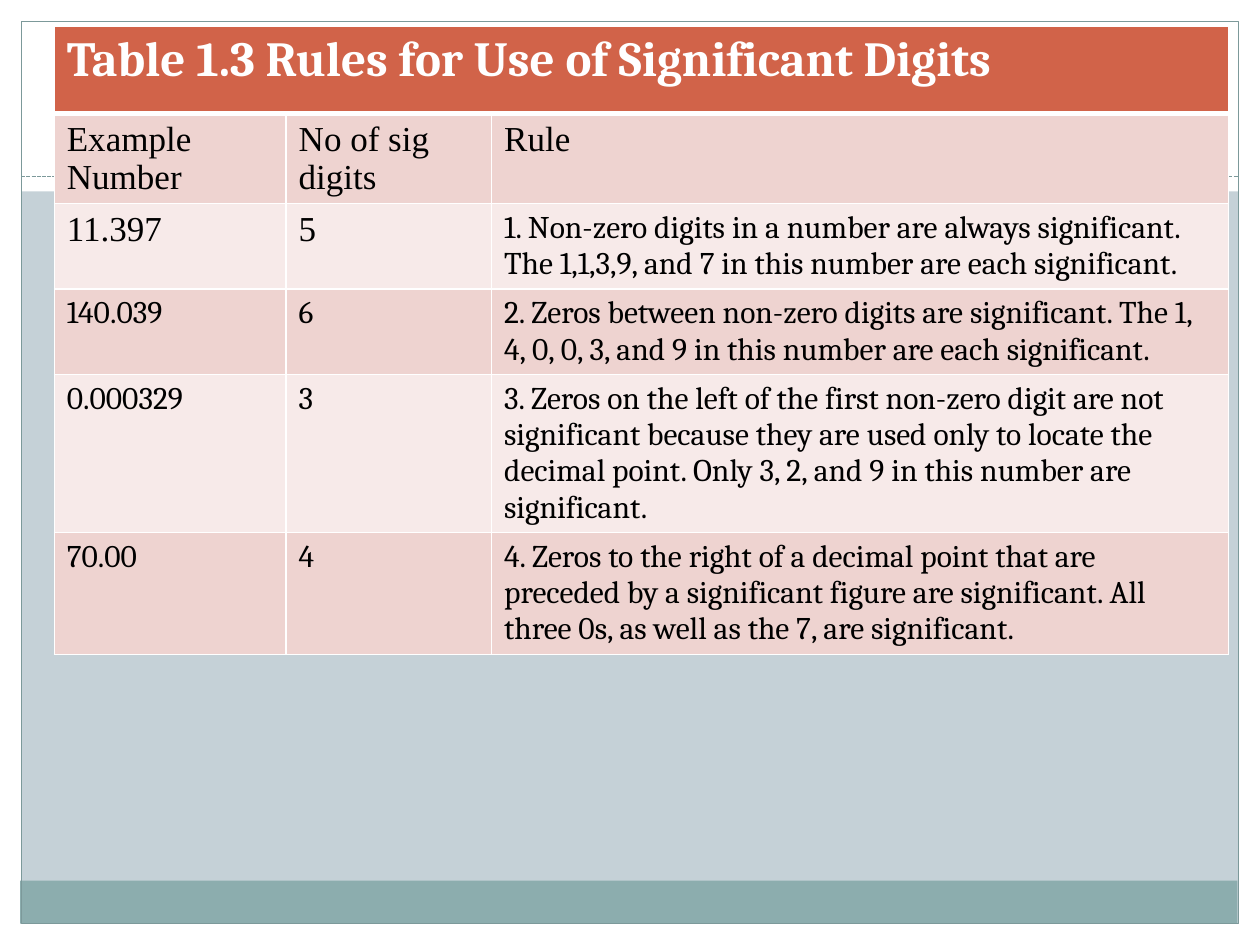
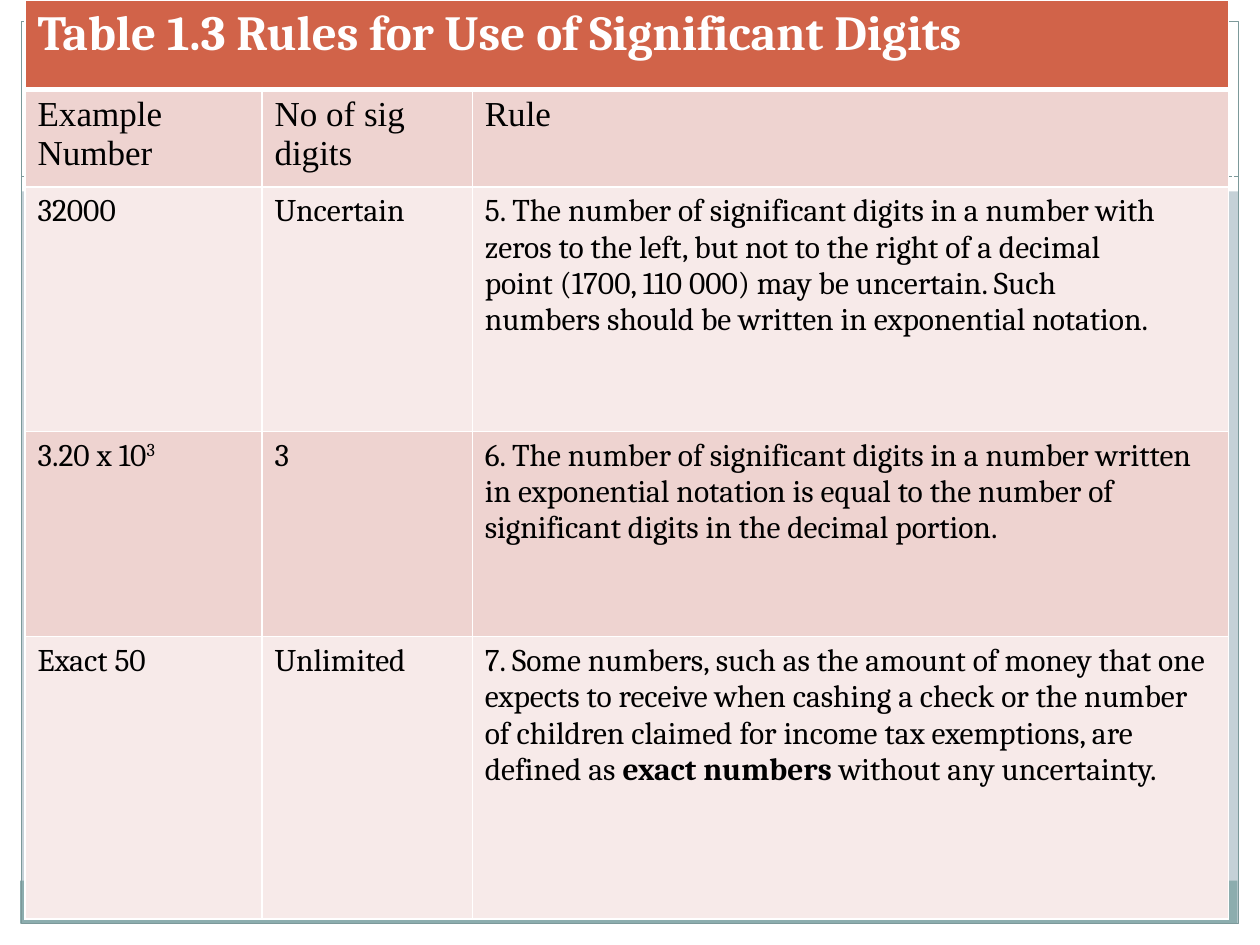
import pptx
import pptx.dml.color
import pptx.enum.dml
import pptx.enum.shapes
import pptx.enum.text
import pptx.util
from dataclasses import dataclass
from lxml import etree

Pt = pptx.util.Pt
Shapes = pptx.enum.shapes.MSO_SHAPE


@dataclass(frozen=True)
class Theme:
    page: str = "C5D1D7"
    white: str = "FFFFFF"
    black: str = "000000"
    footer: str = "8CADAE"
    outline: str = "7C999A"
    heading: str = "D16349"
    bands: tuple = ("EED3D0", "F7EAE9")
    serif: str = "Cambria"
    label: str = "Times New Roman"
    title_size: float = 33
    heading_size: float = 28
    label_size: float = 20
    body_size: float = 18
    border: float = 1
    heading_border: float = 3


THEME = Theme()
WIDTH, HEIGHT = 720, 540
EDGE = 12.2
TOP_BAND = 109.4
RULE_Y = 100.8
FOOTER_HEIGHT = 24.5

PAGE_TITLE = "."
HEADING = "Table 1.3 Rules for Use of Significant Digits"
COLUMN_LABELS = ("Example Number", "No of sig digits", "Rule")

# A cell is a string, or a list of paragraphs; a paragraph is a string,
# or a list of (text, format) runs.
TABLES = [
    {
        "at": (31, 15.1),
        "columns": (132.5, 117.4, 421.2),
        "rows": (49.7, 49.7, 43.2, 43.2, 43.2, 43.2),
        "large_cells": {(2, 0), (2, 1)},
        "rules": [
            ("11.397", "5",
             ["1. Non-zero digits in a number are always significant.",
              "The 1,1,3,9, and 7 in this number are each significant."]),
            ("140.039", "6",
             ["2. Zeros between non-zero digits are significant. The 1,",
              "4, 0, 0, 3, and 9 in this number are each significant."]),
            ("0.000329", "3",
             "3. Zeros on the left of the first non-zero digit are not "
             "significant because they are used only to locate the decimal "
             "point. Only 3, 2, and 9 in this number are significant."),
            ("70.00", "4",
             "4. Zeros to the right of a decimal point that are preceded by a "
             "significant figure are significant. All three 0s, as well as "
             "the 7, are significant."),
        ],
    },
    {
        "at": (14.3, 0),
        "columns": (135.4, 120.2, 432),
        "rows": (51, 56, 139.5, 117.4, 161.3),
        "large_cells": set(),
        "rules": [
            ("32000", "Uncertain",
             ["5. The number of significant digits in a number with",
              "zeros to the left, but not to the right of a decimal",
              "point (1700, 110 000) may be uncertain. Such",
              "numbers should be written in exponential notation."]),
            ([[("3.20 x 10", {}), ("3", {"baseline": 30})]], "3",
             "6. The number of significant digits in a number written in "
             "exponential notation is equal to the number of significant "
             "digits in the decimal portion."),
            ("Exact 50", "Unlimited",
             [[("7. Some numbers, such as the amount of money that one "
                "expects to receive when cashing a check or the number of "
                "children claimed for income tax exemptions, are defined as ",
                {}),
               ("exact numbers ", {"bold": True}),
               ("without any uncertainty.", {})]]),
        ],
    },
]


def rgb(value):
    return pptx.dml.color.RGBColor.from_string(value)


def format_span(span, font, size, color, bold=False, baseline=0):
    span.font.name = font
    span.font.size = Pt(size)
    span.font.color.rgb = rgb(color)
    span.font.bold = bold
    if baseline:
        span.font._element.set("baseline", str(baseline * 1000))


def write(frame, text, align=pptx.enum.text.PP_ALIGN.LEFT, **style):
    """Fill a text frame; each run may override the shared style."""
    paragraphs = [text] if isinstance(text, str) else text
    for index, runs in enumerate(paragraphs):
        para = frame.paragraphs[0] if index == 0 else frame.add_paragraph()
        para.alignment = align
        for words, changes in ([(runs, {})] if isinstance(runs, str) else runs):
            span = para.add_run()
            span.text = words
            format_span(span, **{**style, **changes})


def add_box(page, kind, left, top, width, height, fill=None, line=None, weight=0.75):
    box = page.shapes.add_shape(kind, Pt(left), Pt(top), Pt(width), Pt(height))
    box.shadow.inherit = False
    if fill:
        box.fill.solid()
        box.fill.fore_color.rgb = rgb(fill)
    else:
        box.fill.background()
    if line:
        box.line.color.rgb = rgb(line)
        box.line.width = Pt(weight)
    else:
        box.line.fill.background()
    return box


def add_dashed_rule(page):
    rule = page.shapes.add_connector(
        pptx.enum.shapes.MSO_CONNECTOR.STRAIGHT,
        Pt(EDGE), Pt(RULE_Y), Pt(WIDTH - EDGE), Pt(RULE_Y))
    rule.line.color.rgb = rgb(THEME.outline)
    rule.line.width = Pt(0.75)
    rule.line.dash_style = pptx.enum.dml.MSO_LINE.SQUARE_DOT
    properties = rule.element.spPr
    etree.SubElement(properties, pptx.oxml.ns.qn("a:effectLst"))
    return rule


def add_circle(page, diameter, **style):
    middle_x, middle_y = WIDTH / 2, 99.6
    return add_box(page, Shapes.OVAL, middle_x - diameter / 2,
                   middle_y - diameter / 2, diameter, diameter,
                   fill=THEME.white, **style)


def furnish_layout(layout, page):
    """Draw the shared frame on a page, then move it to the page's layout."""
    for holder in list(layout.placeholders):
        if holder.placeholder_format.type != pptx.enum.shapes.PP_PLACEHOLDER.TITLE:
            holder.element.getparent().remove(holder.element)
    inner_width = WIDTH - 2 * EDGE
    white_bands = [(0, HEIGHT - EDGE, WIDTH, EDGE), (0, 0, WIDTH, TOP_BAND),
                   (0, 0, EDGE, HEIGHT), (WIDTH - EDGE, 0, EDGE, HEIGHT)]
    parts = [add_box(page, Shapes.RECTANGLE, *band, fill=THEME.white)
             for band in white_bands]
    parts += [
        add_box(page, Shapes.RECTANGLE, EDGE - 0.7, HEIGHT - EDGE - FOOTER_HEIGHT,
                inner_width, FOOTER_HEIGHT, fill=THEME.footer),
        add_box(page, Shapes.RECTANGLE, EDGE, EDGE, inner_width,
                HEIGHT - 2 * EDGE, line=THEME.outline),
        add_dashed_rule(page),
        add_circle(page, 48),
        add_circle(page, 33.2, line=THEME.outline, weight=4),
    ]
    for part in parts:
        layout.shapes.element.append(part.element)


def set_title(page):
    title = page.shapes.title
    title.left, title.top, title.width, title.height = Pt(24), Pt(0), Pt(672), Pt(78)
    title.text_frame.vertical_anchor = pptx.enum.text.MSO_ANCHOR.BOTTOM
    write(title.text_frame, PAGE_TITLE, align=pptx.enum.text.PP_ALIGN.CENTER,
          font=THEME.serif, size=THEME.title_size, color=THEME.outline)


def set_borders(cell, row):
    properties = cell._tc.get_or_add_tcPr()
    thick_side = {0: "B", 1: "T"}.get(row)
    for side in "LRTB":
        weight = THEME.heading_border if side == thick_side else THEME.border
        line = etree.SubElement(properties, pptx.oxml.ns.qn("a:ln" + side),
                                w=str(Pt(weight)))
        fill = etree.SubElement(line, pptx.oxml.ns.qn("a:solidFill"))
        etree.SubElement(fill, pptx.oxml.ns.qn("a:srgbClr"), val=THEME.white)


def cell_style(row, large):
    if row == 0:
        return dict(font=THEME.serif, size=THEME.heading_size,
                    color=THEME.white, bold=True)
    if row == 1 or large:
        return dict(font=THEME.label, size=THEME.label_size, color=THEME.black)
    return dict(font=THEME.serif, size=THEME.body_size, color=THEME.black)


def add_rules_table(page, content):
    columns, rows = content["columns"], content["rows"]
    left, top = content["at"]
    table = page.shapes.add_table(
        len(rows), len(columns), Pt(left), Pt(top),
        Pt(sum(columns)), Pt(sum(rows))).table
    table.horz_banding = False
    for column, width in zip(table.columns, columns):
        column.width = Pt(width)
    for row, height in zip(table.rows, rows):
        row.height = Pt(height)
    table.cell(0, 0).merge(table.cell(0, len(columns) - 1))

    texts = [(HEADING, None, None), COLUMN_LABELS, *content["rules"]]
    for row, row_texts in enumerate(texts):
        fill = THEME.heading if row == 0 else THEME.bands[(row - 1) % 2]
        for column, text in enumerate(row_texts):
            cell = table.cell(row, column)
            set_borders(cell, row)
            cell.fill.solid()
            cell.fill.fore_color.rgb = rgb(fill)
            if text:
                large = (row, column) in content["large_cells"]
                write(cell.text_frame, text, **cell_style(row, large))


def main():
    deck = pptx.Presentation()
    deck.slide_width, deck.slide_height = Pt(WIDTH), Pt(HEIGHT)
    background = deck.slide_master.background.fill
    background.solid()
    background.fore_color.rgb = rgb(THEME.page)
    layout = deck.slide_layouts.get_by_name("Title Only")
    pages = [deck.slides.add_slide(layout) for _ in TABLES]
    furnish_layout(layout, pages[0])
    for page, content in zip(pages, TABLES):
        set_title(page)
        add_rules_table(page, content)
    deck.save("out.pptx")


if __name__ == "__main__":
    main()
